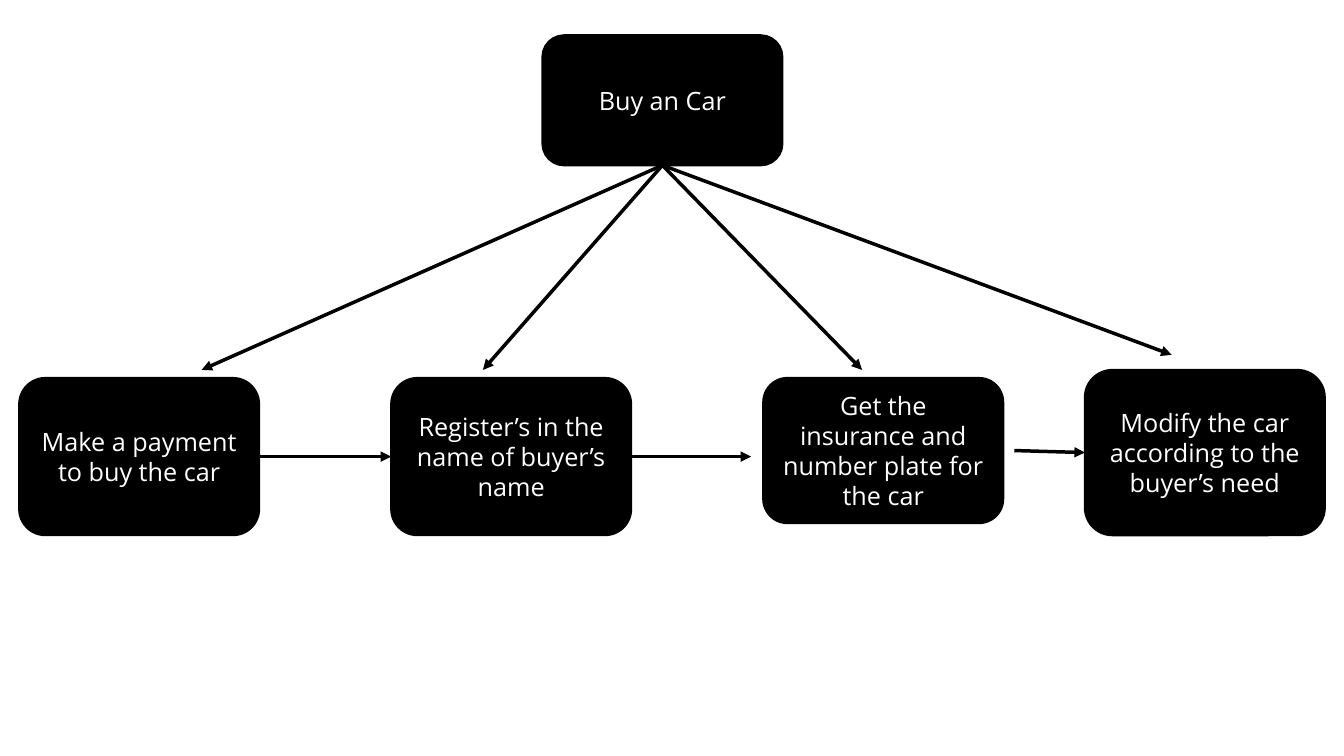
from lxml.etree import SubElement
from pptx import Presentation
from pptx.dml.color import RGBColor
from pptx.enum.shapes import MSO_CONNECTOR, MSO_SHAPE
from pptx.enum.text import MSO_ANCHOR, PP_ALIGN
from pptx.oxml.ns import qn
from pptx.util import Inches, Pt

BLACK = "000000"
WHITE = "FFFFFF"
FONT = "Open Sans"
BOX_WIDTH = 2.38
TOP, LEFT, BOTTOM, RIGHT = range(4)

GOAL = ("Buy an Car", 5.38, 0.35, 1.29)

# text, left, top, height, tip of the arrow from the goal
STEPS = [
    ("Make a payment to buy the car", 0.19, 3.75, 1.56, (2, 3.67)),
    ("Register’s in the name of buyer’s name", 3.88, 3.75, 1.56, (4.79, 3.67)),
    ("Get the insurance and number plate for the car", 7.57, 3.75, 1.44, (8.55, 3.67)),
    ("Modify the car according to the buyer’s need", 10.76, 3.67, 1.64, (11.62, 3.52)),
]


def color(value):
    return RGBColor.from_string(value)


def add_box(page, text, left, top, height):
    box = page.shapes.add_shape(
        MSO_SHAPE.FLOWCHART_ALTERNATE_PROCESS,
        Inches(left), Inches(top), Inches(BOX_WIDTH), Inches(height))
    box.shadow.inherit = False
    box.fill.solid()
    box.fill.fore_color.rgb = color(BLACK)
    box.line.color.rgb = color(BLACK)
    box.line.width = Pt(1.5)
    frame = box.text_frame
    frame.word_wrap = True
    frame.vertical_anchor = MSO_ANCHOR.MIDDLE
    para = frame.paragraphs[0]
    para.alignment = PP_ALIGN.CENTER
    span = para.add_run()
    span.text = text
    span.font.name = FONT
    span.font.size = Pt(18)
    span.font.color.rgb = color(WHITE)
    return box


def add_arrow(page, start, end, source=None, target=None):
    """Draw an arrow; source and target are optional (box, side) joints."""
    arrow = page.shapes.add_connector(
        MSO_CONNECTOR.STRAIGHT, *(Inches(value) for value in (*start, *end)))
    arrow.line.color.rgb = color(BLACK)
    arrow.line.width = Pt(2.5)
    SubElement(arrow.line._get_or_add_ln(), qn("a:tailEnd"), type="triangle")
    SubElement(arrow._element.spPr, qn("a:effectLst"))
    if source:
        arrow.begin_connect(*source)
    if target:
        arrow.end_connect(*target)


def add_goal_arrows(page, goal):
    for *_, tip in STEPS:
        add_arrow(page, (6.57, 1.63), tip, source=(goal, BOTTOM))


def add_step_arrows(page, boxes):
    payment, registration, _, modification = boxes
    add_arrow(page, (2.57, 4.53), (3.88, 4.53),
              source=(payment, RIGHT), target=(registration, LEFT))
    add_arrow(page, (6.26, 4.53), (7.45, 4.53), source=(registration, RIGHT))
    add_arrow(page, (10.06, 4.47), (10.76, 4.49), target=(modification, LEFT))


def main():
    deck = Presentation()
    deck.slide_width, deck.slide_height = Inches(13.33), Inches(7.5)
    page = deck.slides.add_slide(deck.slide_layouts[6])
    goal = add_box(page, *GOAL)
    boxes = [add_box(page, *step[:4]) for step in STEPS]
    add_goal_arrows(page, goal)
    add_step_arrows(page, boxes)
    deck.save("out.pptx")


if __name__ == "__main__":
    main()
